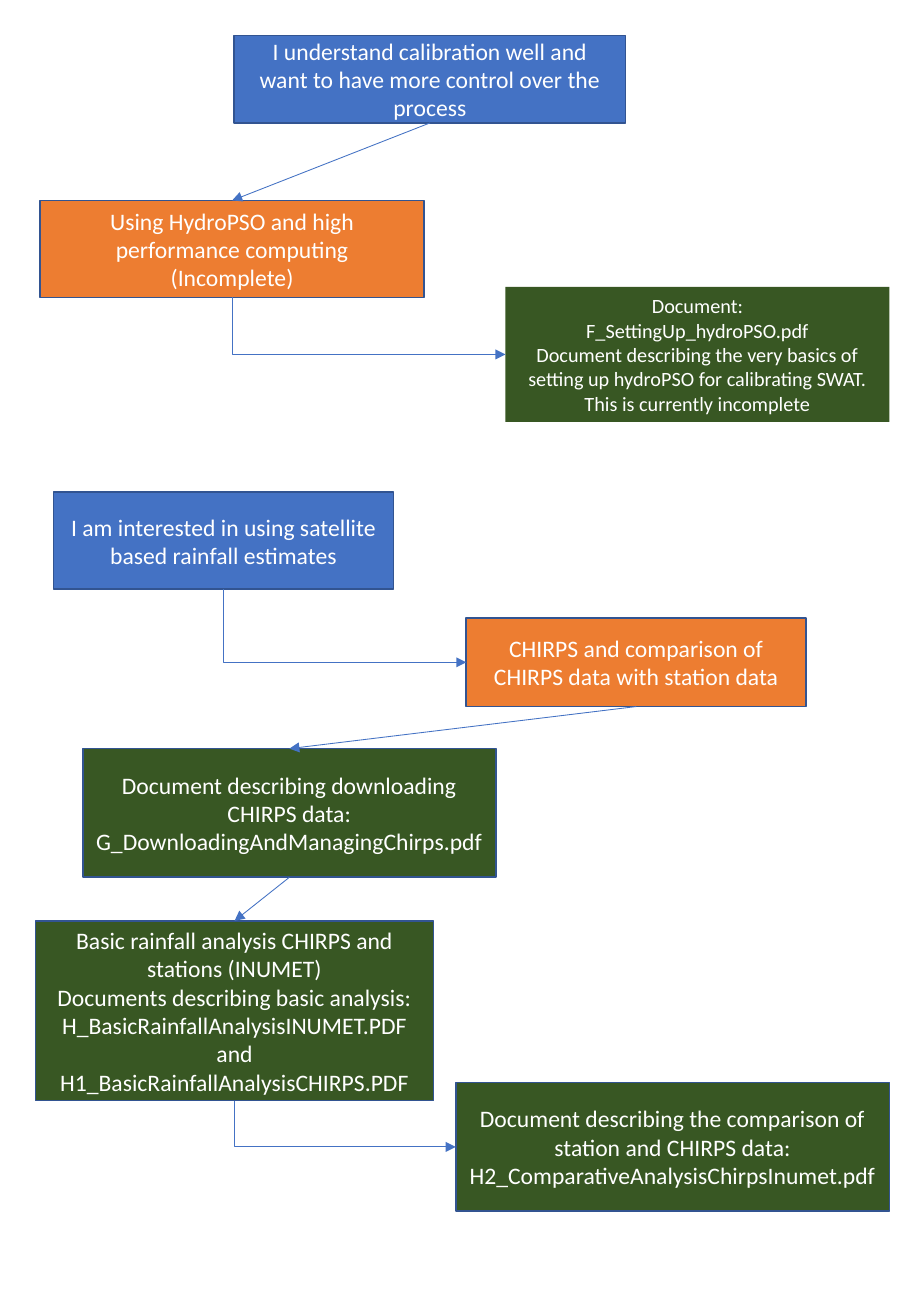
"""Build the guidance flowchart for calibration and satellite rainfall."""
import pptx
import pptx.dml.color
import pptx.enum.shapes
import pptx.enum.text
import pptx.oxml
import pptx.oxml.ns
import pptx.util

Cm = pptx.util.Cm
Pt = pptx.util.Pt
QUESTION = "4472C4"
TOPIC = "ED7D31"
DOCUMENT = "385723"
BORDER = "325491"
FONT = "Calibri"


def colour(code):
    """Turn a hex string into a colour."""
    return pptx.dml.color.RGBColor.from_string(code)


def add_box(page, place, fill, paragraphs, size=14, border=BORDER):
    """Add a filled rectangle holding centred white paragraphs."""
    box = page.shapes.add_shape(
        pptx.enum.shapes.MSO_SHAPE.RECTANGLE, *[Cm(value) for value in place])
    box.shadow.inherit = False
    box.fill.solid()
    box.fill.fore_color.rgb = colour(fill)
    if border:
        box.line.color.rgb = colour(border)
        box.line.width = Pt(1)
    else:
        box.line.fill.background()
    frame = box.text_frame
    frame.word_wrap = True
    frame.vertical_anchor = pptx.enum.text.MSO_ANCHOR.MIDDLE
    for index, text in enumerate(paragraphs):
        para = frame.add_paragraph() if index else frame.paragraphs[0]
        para.alignment = pptx.enum.text.PP_ALIGN.CENTER
        span = para.add_run()
        span.text = text
        span.font.name = FONT
        span.font.size = Pt(size)
        span.font.color.rgb = colour("FFFFFF")
    return box


def add_arrow(page, source, target, target_site):
    """Add a thin arrow from the bottom of one box to a side of another."""
    arrow = page.shapes.add_connector(
        pptx.enum.shapes.MSO_CONNECTOR.STRAIGHT, 0, 0, 0, 0)
    arrow.begin_connect(source, 2)
    arrow.end_connect(target, target_site)
    arrow.line.color.rgb = colour(QUESTION)
    arrow.line.width = Pt(0.5)
    line = arrow.line._get_or_add_ln()
    line.append(pptx.oxml.parse_xml(
        f'<a:tailEnd {pptx.oxml.ns.nsdecls("a")} type="triangle"/>'))
    arrow._element.spPr.append(pptx.oxml.parse_xml(
        f'<a:effectLst {pptx.oxml.ns.nsdecls("a")}/>'))
    return arrow


def add_straight_arrow(page, source, target):
    """Join the bottom of one box to the top of the next."""
    add_arrow(page, source, target, 0)


def add_elbow_arrow(page, source, target):
    """Go down from one box, then right into the left side of another."""
    arrow = add_arrow(page, source, target, 1)
    across, down = arrow.width, arrow.height
    shift = (across - down) // 2
    arrow.left, arrow.top = arrow.left + shift, arrow.top - shift
    arrow.width, arrow.height = down, across
    properties = arrow._element.spPr
    frame = properties.find(pptx.oxml.ns.qn("a:xfrm"))
    frame.set("rot", "16200000")
    frame.set("flipH", "1")
    properties.find(pptx.oxml.ns.qn("a:prstGeom")).set("prst", "bentConnector2")


def add_calibration_flow(page):
    """Add the route for readers who want control over calibration."""
    computing = add_box(page, (0.84, 4.19, 8.03, 2.03), TOPIC, [
        "Using HydroPSO and high performance computing", "(Incomplete)"])
    setup = add_box(page, (10.57, 6, 8.03, 2.82), DOCUMENT, [
        "Document:",
        "F_SettingUp_hydroPSO.pdf",
        "Document describing the very basics of setting up hydroPSO for "
        "calibrating SWAT. This is currently incomplete"], size=12, border=None)
    control = add_box(page, (4.9, 0.74, 8.18, 1.83), QUESTION, [
        "I understand calibration well and want to have more control over "
        "the process"])
    add_straight_arrow(page, control, computing)
    add_elbow_arrow(page, computing, setup)


def add_rainfall_flow(page):
    """Add the route for readers interested in satellite rainfall."""
    satellite = add_box(page, (1.12, 10.29, 7.11, 2.03), QUESTION, [
        "I am interested in using satellite based rainfall estimates"])
    chirps = add_box(page, (9.75, 12.92, 7.11, 1.85), TOPIC, [
        "CHIRPS and comparison of CHIRPS data with station data"])
    analysis = add_box(page, (0.74, 19.25, 8.33, 3.76), DOCUMENT, [
        "Basic rainfall analysis CHIRPS and stations (INUMET)",
        "Documents describing basic analysis: H_BasicRainfallAnalysisINUMET.PDF "
        "and H1_BasicRainfallAnalysisCHIRPS.PDF"])
    comparison = add_box(page, (9.53, 22.63, 9.07, 2.69), DOCUMENT, [
        "Document describing the comparison of station and CHIRPS data: "
        "H2_ComparativeAnalysisChirpsInumet.pdf"])
    download = add_box(page, (1.73, 15.65, 8.64, 2.69), DOCUMENT, [
        "Document describing downloading CHIRPS data: "
        "G_DownloadingAndManagingChirps.pdf"])
    add_straight_arrow(page, chirps, download)
    add_straight_arrow(page, download, analysis)
    add_elbow_arrow(page, analysis, comparison)
    add_elbow_arrow(page, satellite, chirps)


def main():
    """Create the deck and save it."""
    deck = pptx.Presentation()
    deck.slide_width = Cm(19.05)
    deck.slide_height = Cm(27.51)
    page = deck.slides.add_slide(deck.slide_layouts[6])
    add_calibration_flow(page)
    add_rainfall_flow(page)
    deck.save("out.pptx")


main()
